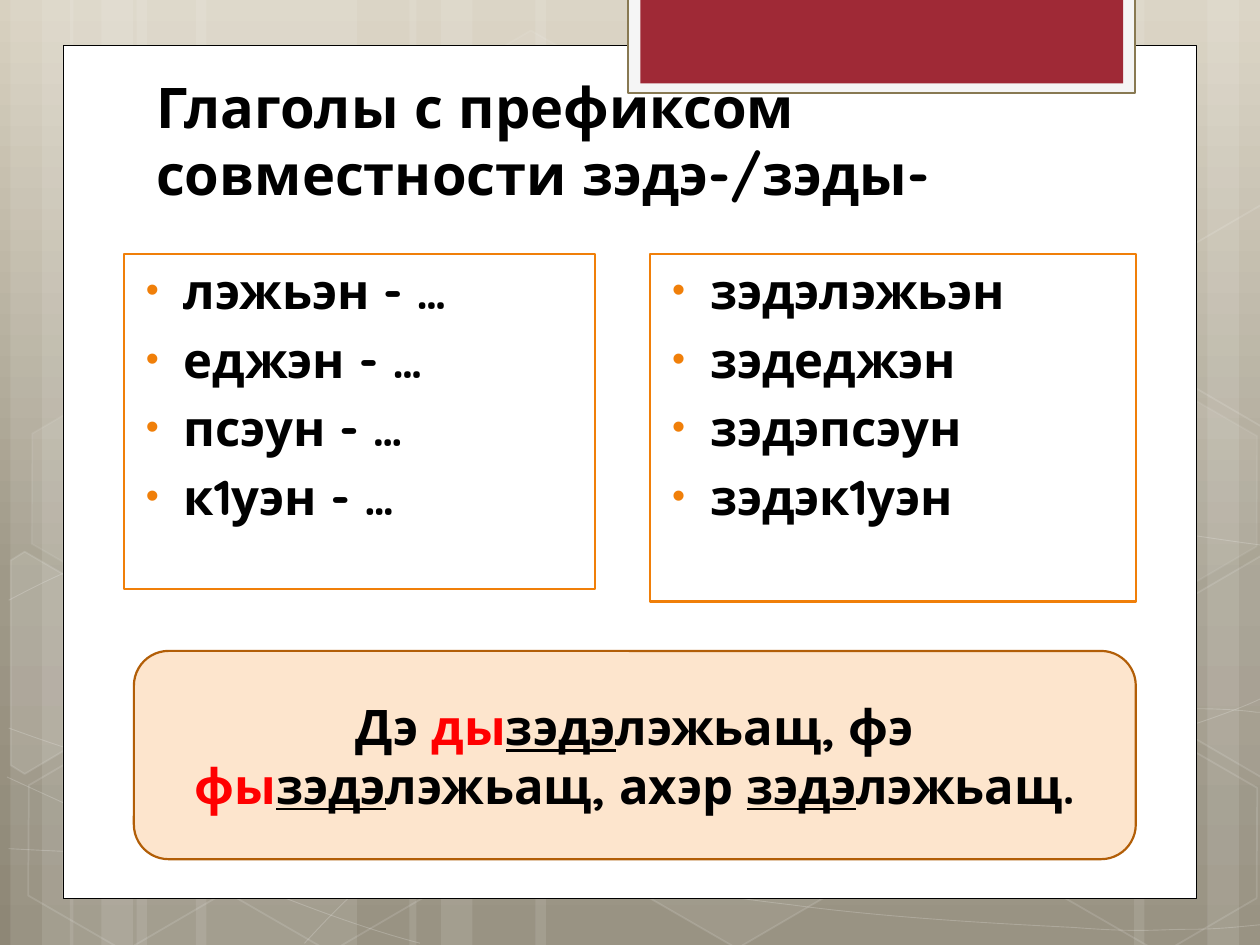
from copy import deepcopy
from dataclasses import dataclass
from math import cos, radians, sin
from pptx import Presentation
from pptx.dml.color import RGBColor
from pptx.enum import shapes as es, text as et
from pptx.oxml import ns, xmlchemy as xc
from pptx.util import Pt


@dataclass(frozen=True)
class Theme:
    font: str = "Quicksand"
    head: int = 32
    body: int = 28
    ink: str = "000000"
    white: str = "FFFFFF"
    mark: str = "FF0000"
    amber: str = "F07F09"
    peach: str = "FDE5CD"
    rust: str = "B25E07"
    red: str = "9F2936"
    pale: str = "F5F5F5"
    tan: str = "887952"
    sky: tuple = ((0, "D8D1C0"), (0.62, "9F9988"), (1, "8E8776"))


T = Theme()
SHAPE = es.MSO_SHAPE
BARS = (78, 126), (112, 126), (306, 222)
WAVES = [
    [(5, 485), (44, 487, 83, 489, 137, 488), (191, 487, 258, 486, 330, 479),
     (402, 472, 504, 458, 570, 444), (636, 430, 703, 409, 725, 397)],
    [(5, 343), (26, 332, 47, 321, 87, 310), (128, 300, 187, 284, 250, 279),
     (314, 274, 392, 273, 471, 279), (550, 284, 682, 307, 725, 312)],
    [(4, 444), (91, 484, 178, 523, 240, 539)],
    [(5, 416), (27, 424, 50, 432, 92, 443), (134, 454, 197, 472, 257, 485),
     (317, 497, 392, 510, 452, 517), (512, 525, 576, 528, 614, 530),
     (652, 533, 662, 531, 680, 531), (699, 531, 712, 529, 725, 528)],
    [(174, 539), (187, 525, 200, 511, 217, 498), (235, 485, 259, 470, 279, 460),
     (300, 450, 312, 446, 338, 438), (364, 431, 413, 421, 438, 416),
     (464, 411, 467, 411, 490, 410), (512, 408, 547, 405, 572, 405),
     (597, 404, 638, 405, 638, 405), (654, 405, 670, 405, 686, 405),
     (699, 405, 711, 406, 718, 407), (724, 407, 722, 407, 724, 407)],
]
HEXES = [
    (240.5, 26, 4, 8), (358, 424, 6, 12), (8, 425.5, 0, 12),
    (10, 224.5, 7, 8), (125.5, 426, 0, 12), (542, 326, 10, 12),
    (600.5, 427, 0, 12), (600.5, 226, 7, 8),
]
LEFT = [(6, 320), (14, 315), (69, 347), (68, 410), (14, 442), (6, 437)]
RIGHT = [(667, 349), (721, 317.5), (726.5, 321), (726.5, 441), (721, 444), (667, 412.5)]
EDGES = [(LEFT, (26, 385), 0, 10), (RIGHT, (709, 374.5), 0, 4),
         (RIGHT, (709, 374.5), -200.5, 0)]


def assign(obj, vals):
    for key, val in vals.items():
        setattr(obj, key, val)


def place(shape, box):
    assign(shape, dict(zip(("left", "top", "width", "height"), map(Pt, box))))


def node(tag, **vals):
    item = xc.OxmlElement("a:" + tag)
    for key, val in vals.items():
        item.set(key, str(val))
    return item


def tint(fill, hue, alpha=100):
    if not alpha or not hue:
        fill.background()
        return
    fill.solid()
    fill.fore_color.rgb = RGBColor.from_string(hue)
    if alpha < 100:
        tone = fill._xPr.find(".//" + ns.qn("a:srgbClr"))
        tone.append(node("alpha", val=alpha * 1000))


def paint(shape, hue, alpha=100, line=None, wide=1, fade=100):
    tint(shape.fill, hue, alpha)
    tint(shape.line.fill, line, fade)
    if line:
        shape.line.width = Pt(wide)


def draw(slide, kind, box, *look):
    shape = slide.shapes.add_shape(kind, *map(Pt, box))
    shape.shadow.inherit = False
    paint(shape, *look)
    return shape


def trace(slide, dots, close, *look):
    pts = [(Pt(x), Pt(y)) for x, y in dots]
    pen = slide.shapes.build_freeform(*pts[0])
    pen.add_line_segments(pts[1:], close=close)
    shape = pen.convert_to_shape()
    shape.shadow.inherit = False
    paint(shape, *look)
    return shape


def curve(slide, wave, *look):
    shape = trace(slide, [part[-2:] for part in wave], False, *look)
    lines = list(shape.element.iter(ns.qn("a:lnTo")))
    for line, part in zip(lines, wave[1:]):
        arc = node("cubicBezTo")
        for x, y in zip(part[::2], part[1::2]):
            arc.append(node("pt", x=Pt(x) - shape.left, y=Pt(y) - shape.top))
        line.getparent().replace(line, arc)


def turn(dots, mid, deg):
    c, s = cos(radians(deg)), sin(radians(deg))
    mx, my = mid
    return [(mx + (x - mx) * c - (y - my) * s, my + (x - mx) * s + (y - my) * c)
            for x, y in dots]


def write(para, words, size, hue=T.ink, line=False):
    run = para.add_run()
    run.text = words
    assign(run.font, dict(name=T.font, size=Pt(size), bold=True, underline=line))
    run.font.color.rgb = RGBColor.from_string(hue)


def setup(shape, anchor):
    frame = shape.text_frame
    assign(frame, dict(word_wrap=True, auto_size=et.MSO_AUTO_SIZE.NONE,
                       vertical_anchor=anchor))
    return frame


def sky(slide):
    fill = slide.background.fill
    fill.gradient()
    fill.gradient_angle = 270
    stops = slide.element.find(".//" + ns.qn("a:gsLst"))
    stops.append(deepcopy(stops[-1]))
    for stop, (pos, hue) in zip(fill.gradient_stops, T.sky):
        stop.position = pos
        stop.color.rgb = RGBColor.from_string(hue)


def scene(slide, box):
    left, top, wide, high = box
    bars = [(x + dx, bw) for x, w in BARS for dx, bw in ((0, w), (-72, 36), (-54, 60))]
    for x, w in bars + [(528, 126), (690, 36), (648, 60)]:
        draw(slide, SHAPE.RECTANGLE, (left + x, top, w, high), T.white, 10)
    for wave in WAVES:
        moved = [[n + (top if i % 2 else left) for i, n in enumerate(part)]
                 for part in wave]
        curve(slide, moved, None, 0, T.white, 0.5, 20)
    for x, y, alpha, fade in HEXES:
        cell = draw(slide, SHAPE.HEXAGON, (left + x, top + y, 126, 109.5),
                    T.white, alpha, T.white, 1, fade)
        cell.rotation = 30
        cell.adjustments[0] = 0.285
    for edge, mid, dy, alpha in EDGES:
        dots = [(left + x, top + y + dy) for x, y in turn(edge, mid, -30)]
        cell = trace(slide, dots, True, T.white, alpha, T.white, 1, 12)
        cell.rotation = 30


def panel(slide, box):
    left, top, wide, high = box
    draw(slide, SHAPE.RECTANGLE, box, T.white, 100, T.ink, 0.5)
    x, y = left + 323, top - 27.4
    draw(slide, SHAPE.RECTANGLE, (x, y, 289.7, 54.7), T.pale, 100, T.tan, 1.25)
    draw(slide, SHAPE.RECTANGLE, (x + 7, y, 275.8, 49), T.red)


def title(slide, shape, box, lines):
    slide.shapes.element.append(shape.element)
    place(shape, box)
    para = setup(shape, et.MSO_ANCHOR.BOTTOM).paragraphs[0]
    para.alignment = et.PP_ALIGN.LEFT
    for n, line in enumerate(lines):
        if n:
            para.add_line_break()
        write(para, line, T.head)


def bullet(para):
    props = para._p.get_or_add_pPr()
    for key, val in dict(marL=27, indent=-21.6).items():
        props.set(key, str(Pt(val)))
    hue = node("buClr")
    hue.append(node("srgbClr", val=T.amber))
    props.extend([hue, node("buSzPct", val=76000), node("buFont", typeface="Arial"),
                  node("buChar", char="•")])


def column(slide, shape, box, words):
    slide.shapes.element.append(shape.element)
    place(shape, box)
    paint(shape, T.white, 100, T.amber, 1.25)
    frame = setup(shape, et.MSO_ANCHOR.TOP)
    for n, word in enumerate(words):
        para = frame.add_paragraph() if n else frame.paragraphs[0]
        bullet(para)
        para.space_before = Pt(5.6 if n else 0)
        write(para, word, T.body)


def banner(slide, box, runs):
    shape = draw(slide, SHAPE.ROUNDED_RECTANGLE, box, T.peach, 100, T.rust, 1.25)
    para = setup(shape, et.MSO_ANCHOR.MIDDLE).paragraphs[0]
    para.alignment = et.PP_ALIGN.CENTER
    for words, *look in runs:
        write(para, words, T.body, *look)


def main():
    deck = Presentation()
    assign(deck, dict(slide_width=Pt(720), slide_height=Pt(540)))
    slide = deck.slides.add_slide(deck.slide_layouts[3])
    head, one, two = list(slide.placeholders)[:3]
    sky(slide)
    scene(slide, (0, 0, 720, 540))
    panel(slide, (36, 26, 648, 487.2))
    title(slide, head, (82, 31.7, 553, 90),
          ["Глаголы с префиксом ", "совместности зэдэ-/зэды-"])
    column(slide, one, (70.8, 145.2, 269.2, 191.5),
           ["лэжьэн - …", "еджэн - …", "псэун - …", "к1уэн - …"])
    column(slide, two, (371.5, 145.2, 277.8, 198.5),
           ["зэдэлэжьэн", "зэдеджэн", "зэдэпсэун", "зэдэк1уэн"])
    root = ("зэдэ", T.ink, True)
    banner(slide, (76.5, 372, 572.5, 119),
           [("Дэ ",), ("ды", T.mark), root, ("лэжьащ, фэ ",), ("фы", T.mark), root,
            ("лэжьащ, ахэр ",), root, ("лэжьащ.",)])
    deck.save("out.pptx")


if __name__ == "__main__":
    main()
